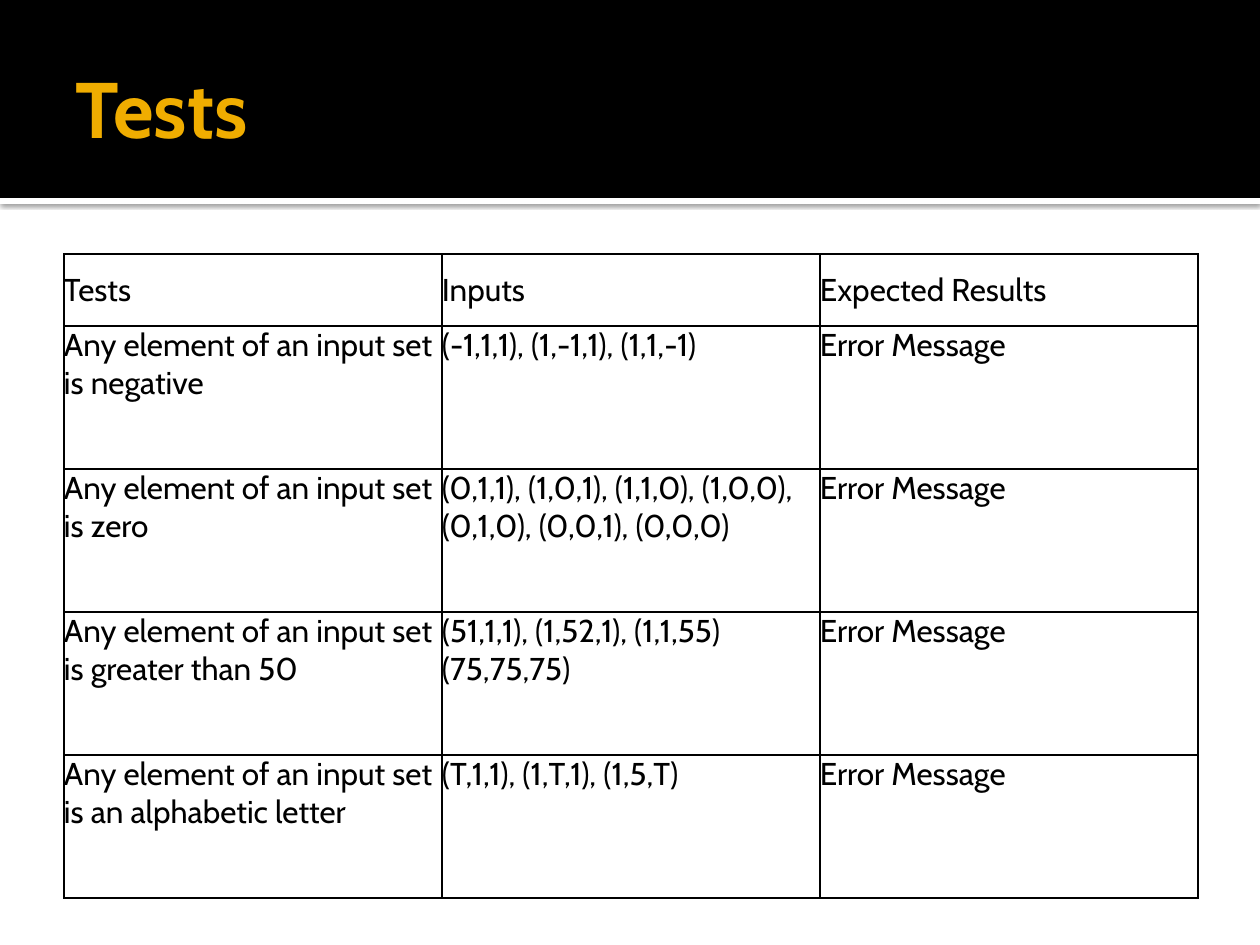
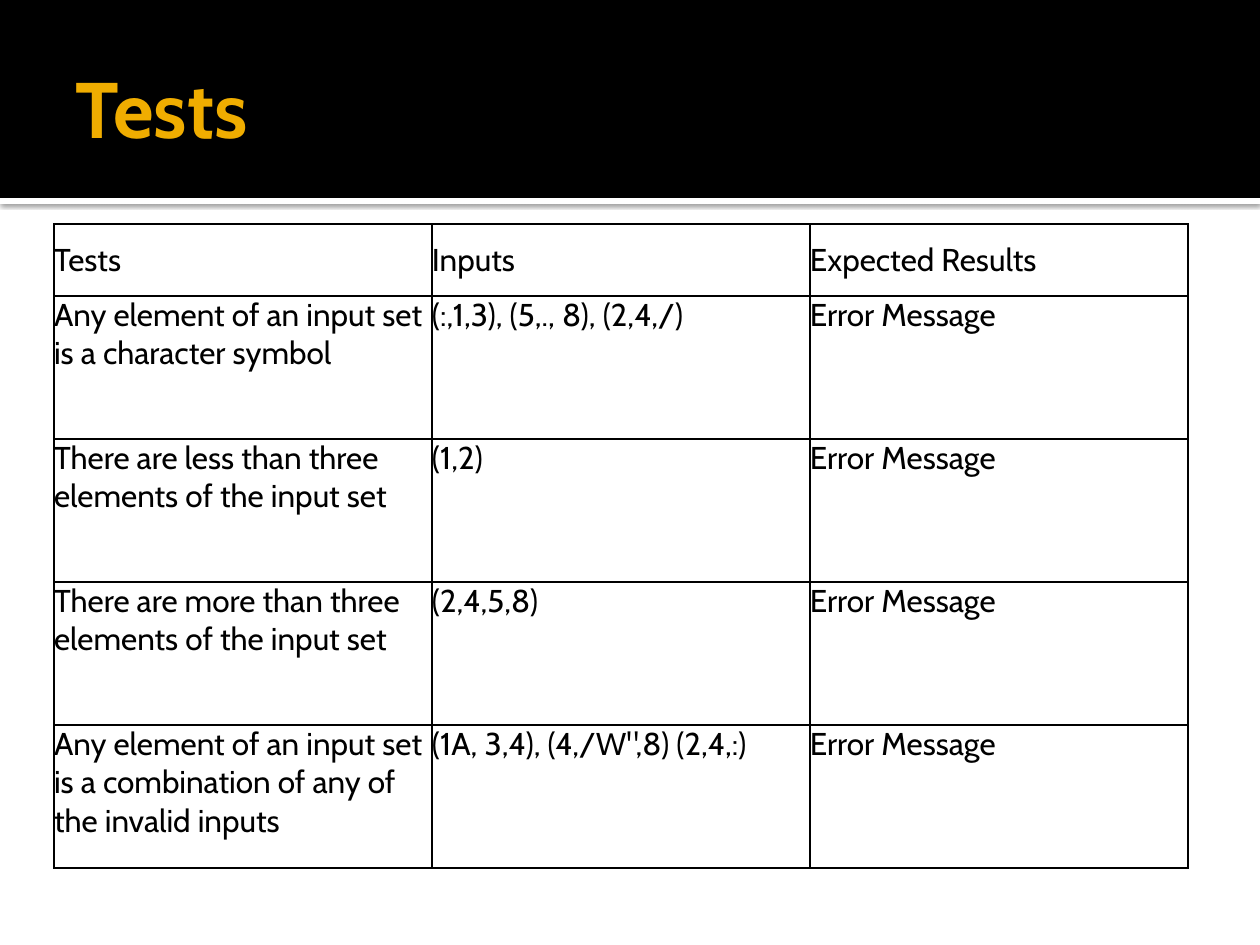
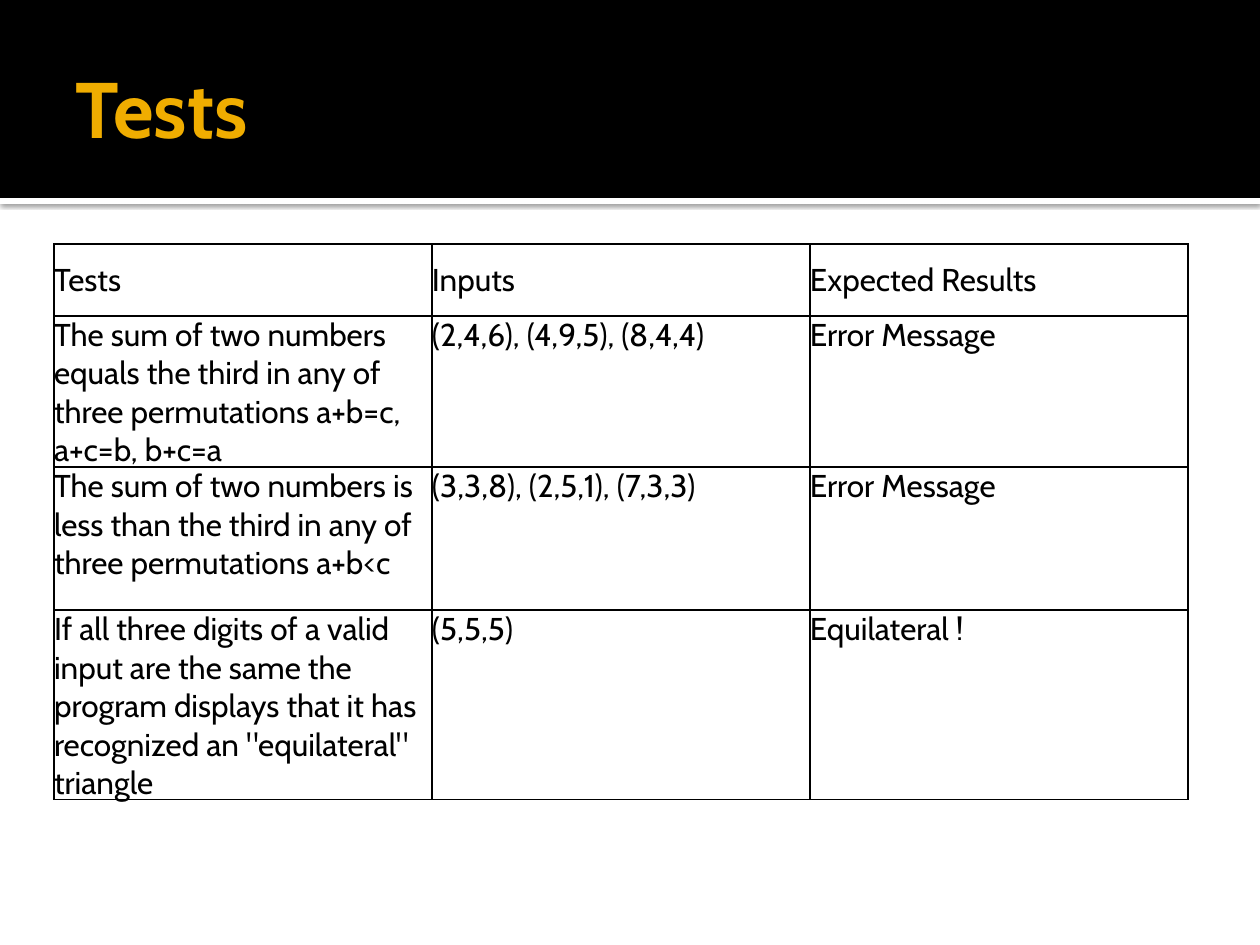
from pptx import Presentation
from pptx.dml.color import RGBColor
from pptx.enum.shapes import MSO_SHAPE
from pptx.enum.text import MSO_ANCHOR
from pptx.oxml import parse_xml
from pptx.oxml.ns import nsdecls, qn
from pptx.util import Emu, Pt

RECT = MSO_SHAPE.RECTANGLE
MIDDLE, TOP = MSO_ANCHOR.MIDDLE, MSO_ANCHOR.TOP
BLACK = RGBColor(0x00, 0x00, 0x00)
WHITE = RGBColor(0xFF, 0xFF, 0xFF)
GOLD = RGBColor(0xF0, 0xAD, 0x00)
FONT = "Cabin"
SCALE = 914400 // 126
WIDE, HIGH = 1260, 945
BAND = 198
COL, HEAD, ROW = 378, 72, 143
ERROR = "Error Message"
HEADER = ("Tests", "Inputs", "Expected Results")
SHADOW = (
    f'<a:outerShdw {nsdecls("a")} blurRad="{Pt(2.5)}" dist="{Pt(0.8)}" '
    'dir="5400000" algn="tl" rotWithShape="0">'
    f'<a:srgbClr val="{BLACK}"><a:alpha val="60000"/></a:srgbClr>'
    '</a:outerShdw>'
)
BORDER = (
    '<a:{side} {ns} w="{width}"><a:solidFill><a:srgbClr val="{color}"/>'
    '</a:solidFill><a:prstDash val="solid"/></a:{side}>'
)


def px(*sizes):
    return [Emu(size * SCALE) for size in sizes]


class Deck:
    """Hold the shared style and the current slide."""

    def __init__(self):
        self.show = Presentation()
        self.show.slide_width, self.show.slide_height = px(WIDE, HIGH)
        self.slide = None

    def start(self, title):
        self.slide = self.show.slides.add_slide(self.show.slide_layouts[6])
        fill = self.slide.background.fill
        fill.solid()
        fill.fore_color.rgb = WHITE
        strip = self.bar(BAND, 6, WHITE)
        effect = strip._element.spPr.find(qn("a:effectLst"))
        effect.append(parse_xml(SHADOW))
        self.bar(0, BAND, BLACK)
        self.title(title)

    def bar(self, top, high, color):
        bar = self.slide.shapes.add_shape(RECT, *px(0, top, WIDE, high))
        bar.fill.solid()
        bar.fill.fore_color.rgb = color
        bar.line.fill.background()
        bar.shadow.inherit = False
        return bar

    def title(self, text):
        box = self.slide.shapes.add_textbox(*px(63, 21, 1134, 173))
        frame = box.text_frame
        frame.word_wrap = True
        frame.vertical_anchor = MIDDLE
        frame.margin_left = Pt(7.2)
        frame.margin_right = frame.margin_top = frame.margin_bottom = Pt(3.6)
        self.text(frame, text, 45, GOLD, True)

    def text(self, frame, text, size, color, bold=False):
        frame.text = text
        for part in frame.paragraphs:
            for run in part.runs:
                font = run.font
                font.name, font.size, font.bold = FONT, Pt(size), bold
                font.color.rgb = color

    def cell(self, cell, text, anchor):
        cell.margin_left = cell.margin_right = 0
        cell.margin_top = cell.margin_bottom = 0
        cell.vertical_anchor = anchor
        props = cell._tc.get_or_add_tcPr()
        for side in ("lnL", "lnR", "lnT", "lnB"):
            props.append(parse_xml(BORDER.format(
                side=side, ns=nsdecls("a"), width=Pt(1), color=BLACK)))
        cell.fill.background()
        self.text(cell.text_frame, text, 18, BLACK)

    def table(self, left, top, tests):
        rows = [HEADER, *tests]
        count = len(HEADER)
        high = HEAD + ROW * len(tests)
        table = self.slide.shapes.add_table(
            len(rows), count, *px(left, top, COL * count, high)).table
        table.first_row = table.horz_banding = False
        for col in table.columns:
            col.width = px(COL)[0]
        for i, row in enumerate(rows):
            table.rows[i].height = px(ROW if i else HEAD)[0]
            for j, text in enumerate(row):
                self.cell(table.cell(i, j), text, TOP if i else MIDDLE)


PAGES = [
    (64, 254, [
        ("Any element of an input set is negative",
         "(-1,1,1), (1,-1,1), (1,1,-1)", ERROR),
        ("Any element of an input set is zero",
         "(0,1,1), (1,0,1), (1,1,0), (1,0,0), (0,1,0), (0,0,1), (0,0,0)",
         ERROR),
        ("Any element of an input set is greater than 50",
         "(51,1,1), (1,52,1), (1,1,55) (75,75,75)", ERROR),
        ("Any element of an input set is an alphabetic letter",
         "(T,1,1), (1,T,1), (1,5,T)", ERROR),
    ]),
    (54, 224, [
        ("Any element of an input set is a character symbol",
         "(:,1,3), (5,., 8), (2,4,/)", ERROR),
        ("There are less than three elements of the input set",
         "(1,2)", ERROR),
        ("There are more than three elements of the input set",
         "(2,4,5,8)", ERROR),
        ("Any element of an input set is a combination of any of the "
         "invalid inputs", '(1A, 3,4), (4,/W",8) (2,4,:)', ERROR),
    ]),
    (54, 244, [
        ("The sum of two numbers equals the third in any of three "
         "permutations a+b=c, a+c=b, b+c=a",
         "(2,4,6), (4,9,5), (8,4,4)", ERROR),
        ("The sum of two numbers is less than the third in any of three "
         "permutations a+b<c", "(3,3,8), (2,5,1), (7,3,3)", ERROR),
        ("If all three digits of a valid input are the same the program "
         'displays that it has recognized an "equilateral" triangle',
         "(5,5,5)", "Equilateral !"),
    ]),
]

deck = Deck()
for left, top, tests in PAGES:
    deck.start("Tests")
    deck.table(left, top, tests)
deck.show.save("out.pptx")
